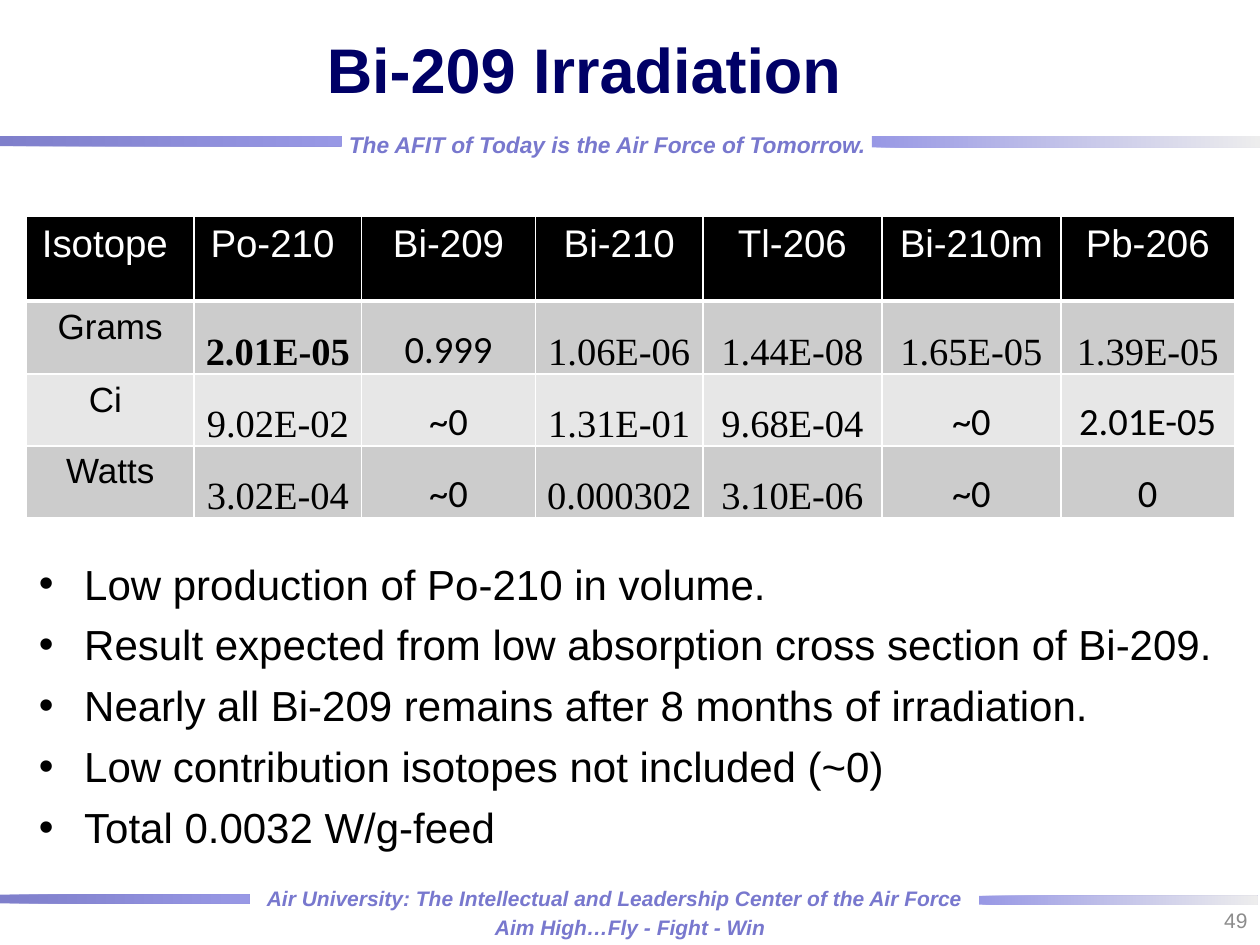
from lxml import etree
from pptx import Presentation, util as u
from pptx.dml.color import RGBColor
from pptx.enum import shapes, text
from pptx.oxml import ns

COLUMNS, ROWS = 100, 75
WIDTH, HEIGHT = u.Inches(10), u.Inches(7.5)
WHITE, BLACK = RGBColor(255, 255, 255), RGBColor(0, 0, 0)
NAVY, MOTTO = RGBColor(0, 0, 0x66), RGBColor(0x78, 0x78, 0xCE)
DEEP_BLUE, BLUE = RGBColor(0, 0, 0x99), RGBColor(0x33, 0x33, 0xCC)
SILVER, PAGE_GREY = RGBColor(0xDD, 0xDD, 0xDD), RGBColor(0x8C, 0x8C, 0x8C)
BANDS = RGBColor(0xCC, 0xCC, 0xCC), RGBColor(0xE7, 0xE7, 0xE7)
CENTER, RIGHT = text.PP_ALIGN.CENTER, text.PP_ALIGN.RIGHT
MIDDLE, BOTTOM = text.MSO_ANCHOR.MIDDLE, text.MSO_ANCHOR.BOTTOM

HEADINGS = ["Isotope ", "Po-210 ", "Bi-209", "Bi-210", "Tl-206", "Bi-210m", "Pb-206"]
READINGS = [
    ["Grams", "2.01E-05", "0.999", "1.06E-06", "1.44E-08", "1.65E-05", "1.39E-05"],
    ["Ci ", "9.02E-02", "~0", "1.31E-01", "9.68E-04", "~0", "2.01E-05"],
    ["Watts", "3.02E-04", "~0", "0.000302", "3.10E-06", "~0", "0"],
]
CALIBRI_CELLS = {(1, 2), (2, 2), (2, 5), (2, 6), (3, 2), (3, 5), (3, 6)}
COLUMN_SPANS = [13.3, 13.3, 13.8, 13.3, 14.2, 14.2, 13.8]
ROW_SPANS = [6.7, 5.8, 5.7, 5.7]
FINDINGS = [
    "Low production of Po-210 in volume.",
    "Result expected from low absorption cross section of Bi-209.",
    "Nearly all Bi-209 remains after 8 months of irradiation.",
    "Low contribution isotopes not included (~0)",
    "Total 0.0032 W/g-feed",
]


def across(columns):
    """Return the width of a number of grid columns."""
    return int(WIDTH * columns / COLUMNS)


def down(rows):
    """Return the height of a number of grid rows."""
    return int(HEIGHT * rows / ROWS)


def place(box):
    """Turn a grid box into slide lengths."""
    left, top, width, height = box
    return across(left), down(top), across(width), down(height)


def write(frame, lines, size=24, font="Arial", color=BLACK, bold=False, italic=False,
          align=None, anchor=None, bullet=None, gap=0):
    """Fill a text frame with formatted paragraphs."""
    if anchor is not None:
        frame.vertical_anchor = anchor
    for index, line in enumerate(lines):
        paragraph = frame.add_paragraph() if index else frame.paragraphs[0]
        if bullet:
            properties = paragraph._p.get_or_add_pPr()
            indent = across(3.6)
            properties.set("marL", str(indent))
            properties.set("indent", str(-indent))
            etree.SubElement(properties, ns.qn("a:buFont"), typeface="Arial")
            etree.SubElement(properties, ns.qn("a:buChar"), char=bullet)
        if index:
            paragraph.space_before = u.Pt(gap)
        paragraph.alignment = align
        run = paragraph.add_run()
        run.text = line
        run.font.size, run.font.name = u.Pt(size), font
        run.font.bold, run.font.italic = bold, italic
        run.font.color.rgb = color


def add_text(slide, box, lines, wrap=True, **style):
    """Add a text box at a grid box."""
    frame = slide.shapes.add_textbox(*place(box)).text_frame
    frame.word_wrap = wrap
    if not wrap:
        frame.auto_size = text.MSO_AUTO_SIZE.SHAPE_TO_FIT_TEXT
    write(frame, lines, **style)


def add_motto(slide, box, line, size=12):
    """Add an unwrapped motto line."""
    add_text(slide, box, [line], wrap=False, size=size, color=MOTTO, bold=True, italic=True)


def add_bar(slide, box, start, end):
    """Add a half-transparent bar that fades from start to end."""
    bar = slide.shapes.add_shape(shapes.MSO_SHAPE.RECTANGLE, *place(box))
    bar.shadow.inherit = False
    bar.line.fill.background()
    bar.fill.gradient()
    bar.fill.gradient_angle = 0
    for stop, color in zip(bar.fill.gradient_stops, (start, end)):
        stop.color.rgb = color
    properties = bar._element.spPr
    properties.find(ns.qn("a:xfrm")).set("flipV", "1")
    for color in properties.iter(ns.qn("a:srgbClr")):
        etree.SubElement(color, ns.qn("a:alpha"), val="50000")


def add_header(slide, box):
    """Place the title above a motto between two bars."""
    left, top, width, height = box
    rule = top + height
    add_bar(slide, (left + 69.2, rule, width - 69.2, 0.9), BLUE, SILVER)
    add_bar(slide, (left, rule, 27.1, 0.8), DEEP_BLUE, BLUE)
    add_motto(slide, (left + 26.7, rule - 0.9, 43.5, 3.1),
              "The AFIT of Today is the Air Force of Tomorrow.", size=13)
    add_text(slide, (left + 10.8, top, 72.5, height), ["Bi-209 Irradiation "],
             size=36, color=NAVY, bold=True, align=CENTER, anchor=MIDDLE)


def add_footer(slide, box):
    """Place two mottos, two bars and the page number."""
    left, top, width, height = box
    add_bar(slide, (left, top + 1.2, 19.8, 0.7), DEEP_BLUE, BLUE)
    add_bar(slide, (left + 77.7, top + 1.3, 22.1, 0.7), BLUE, SILVER)
    add_motto(slide, (left + 20.2, top, 57.6, 2.9),
              "Air University: The Intellectual and Leadership Center of the Air Force")
    add_motto(slide, (left + 38.3, top + 2.3, 23.6, 2.9), "Aim High…Fly - Fight - Win")
    add_text(slide, (left + width - 23.3, top + height - 4, 23.3, 4), ["49"],
             size=12, color=PAGE_GREY, align=RIGHT, anchor=MIDDLE)


def add_borders(cell, header):
    """Draw white borders, with a thick line under the header."""
    properties = cell._tc.get_or_add_tcPr()
    for side in "LRTB":
        weight = 3 if header and side == "B" else 1
        line = etree.SubElement(properties, ns.qn(f"a:ln{side}"), w=str(u.Pt(weight)))
        solid = etree.SubElement(line, ns.qn("a:solidFill"))
        etree.SubElement(solid, ns.qn("a:srgbClr"), val=str(WHITE))


def add_isotopes(slide, box):
    """Place the table of isotope amounts and activities."""
    rows = [HEADINGS] + READINGS
    table = slide.shapes.add_table(len(rows), len(HEADINGS), *place(box)).table
    for column, span in zip(table.columns, COLUMN_SPANS):
        column.width = across(span)
    for row, span in zip(table.rows, ROW_SPANS):
        row.height = down(span)
    for r, values in enumerate(rows):
        for c, value in enumerate(values):
            cell = table.cell(r, c)
            add_borders(cell, header=r == 0)
            cell.fill.solid()
            cell.fill.fore_color.rgb = BANDS[(r - 1) % 2] if r else BLACK
            style = {"size": 22, "color": BLACK if r else WHITE}
            if r and c:
                cell.margin_left = cell.margin_right = cell.margin_top = across(0.1)
                cell.margin_bottom = 0
                cell.vertical_anchor = BOTTOM
                style["font"] = "Calibri" if (r, c) in CALIBRI_CELLS else "Times New Roman"
                style["bold"] = (r, c) == (1, 1)
            elif r:
                style["size"] = 20
            write(cell.text_frame, [value], align=CENTER, **style)


def add_findings(slide, box):
    """Place the bulleted findings."""
    add_text(slide, box, FINDINGS, bullet="•", gap=6)


def main():
    """Build and save the slide."""
    deck = Presentation()
    deck.slide_width, deck.slide_height = WIDTH, HEIGHT
    slide = deck.slides.add_slide(deck.slide_layouts[6])
    add_footer(slide, (0, 69.8, COLUMNS, 5.2))
    add_header(slide, (0, 0, COLUMNS, 10.8))
    add_isotopes(slide, (2.1, 17.2, 95.8, 23.8))
    add_findings(slide, (2.1, 43.8, 95.8, 27))
    deck.save("out.pptx")


if __name__ == "__main__":
    main()
